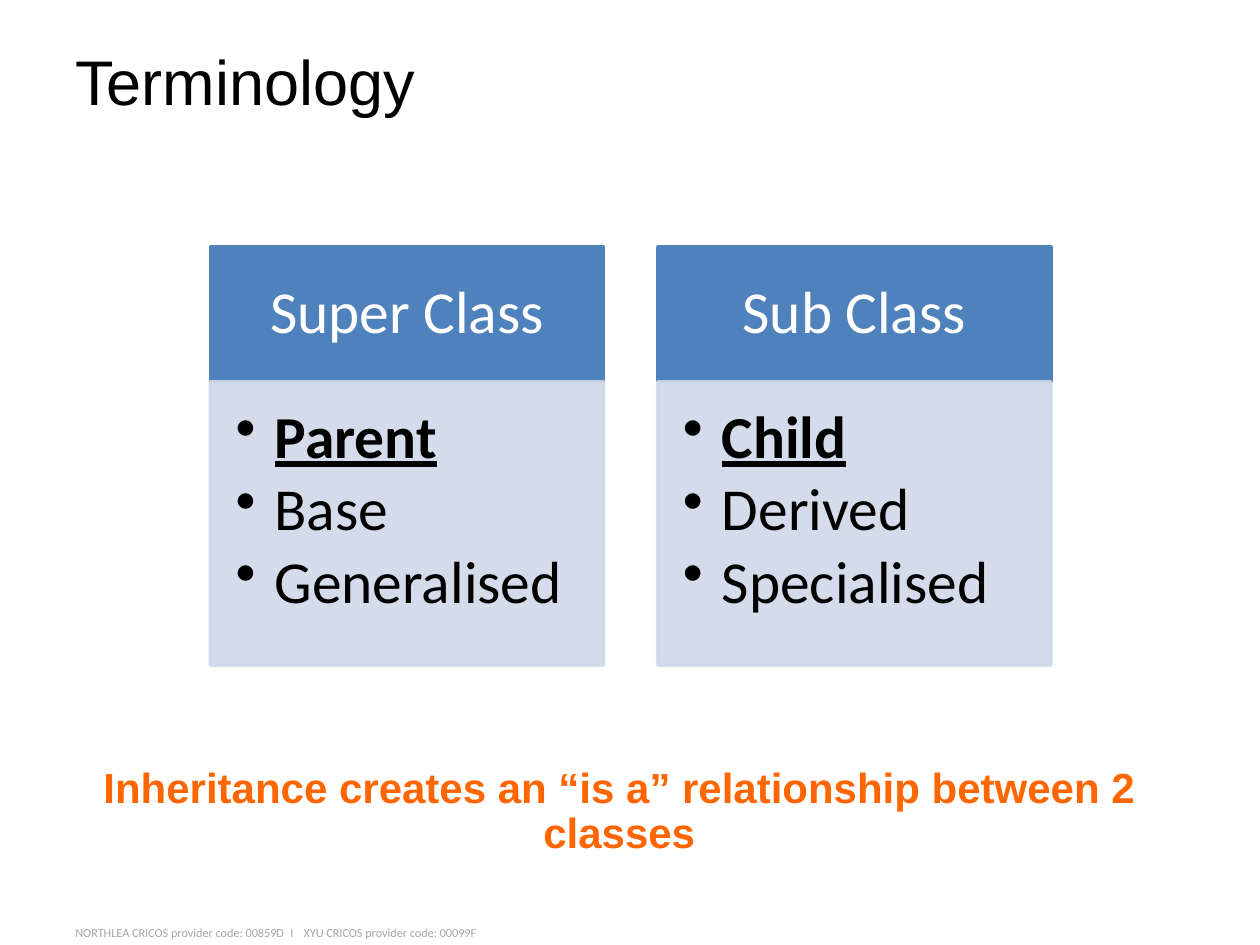
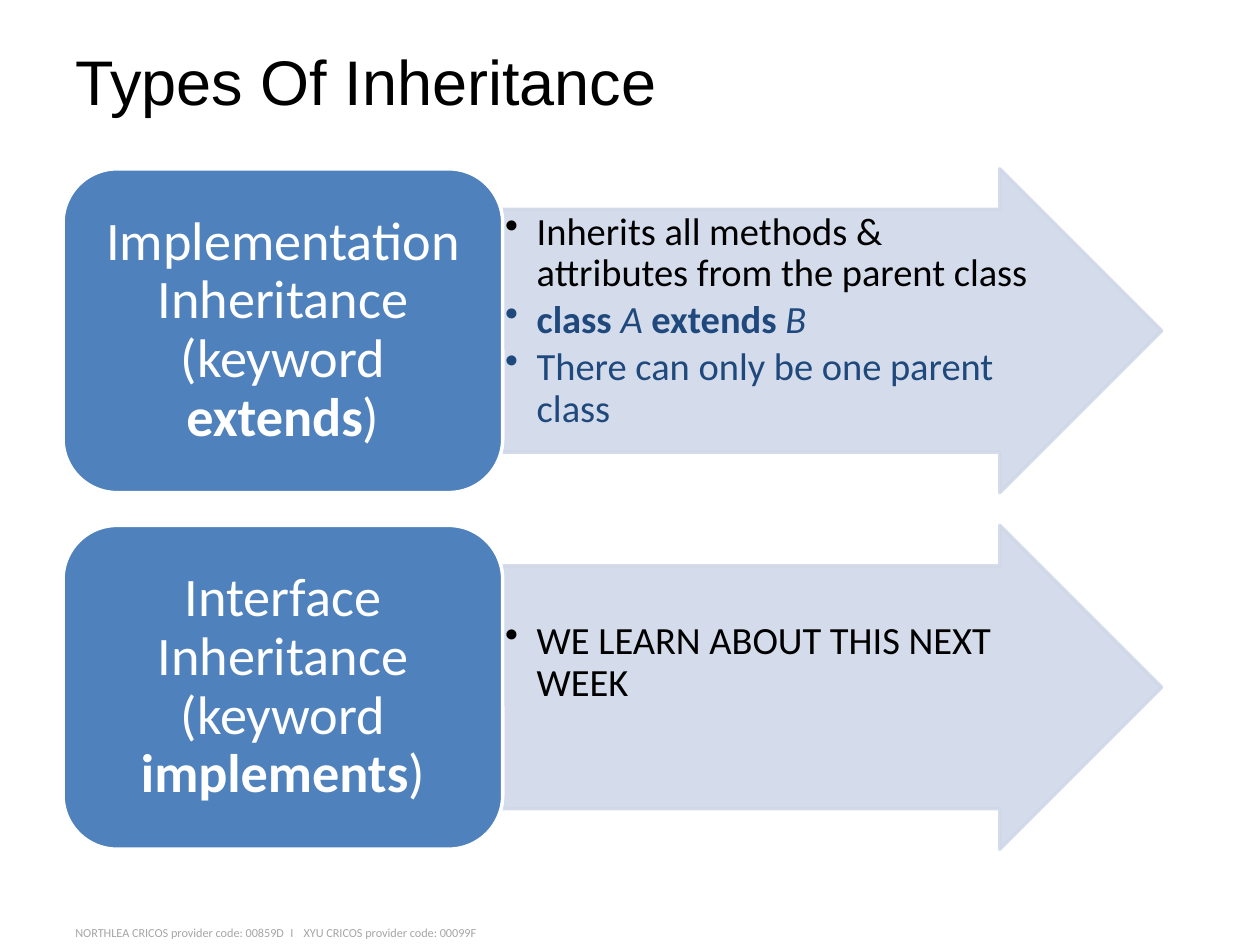
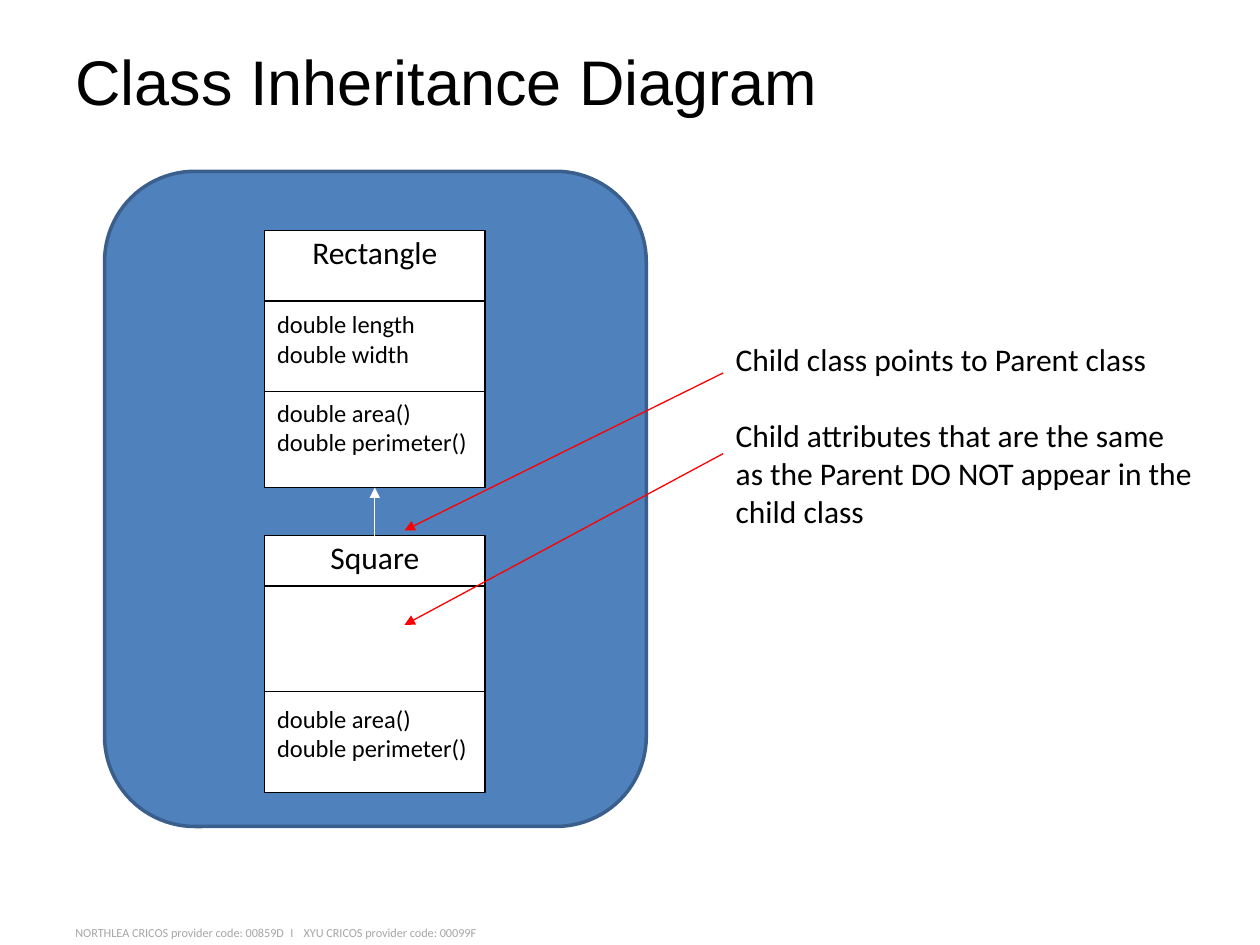
from lxml import etree
from pptx import Presentation, util as u
from pptx.dml.color import RGBColor
from pptx.enum import shapes, text
from pptx.oxml.ns import qn

rgb = RGBColor.from_string
BLUE, PALE, NAVY, EDGE = "4F81BD", "D0D8E8", "1F497D", "3A5F8C"
BLACK, WHITE, RED, ORANGE, GREY = "000000", "FFFFFF", "FF0000", "FF6600", "A6A6A6"
MIDDLE, TOP = text.MSO_ANCHOR.MIDDLE, text.MSO_ANCHOR.TOP
CENTER, LEFT = text.PP_ALIGN.CENTER, text.PP_ALIGN.LEFT
RECT = shapes.MSO_SHAPE.RECTANGLE
ROUNDED = shapes.MSO_SHAPE.ROUNDED_RECTANGLE
ARROW = shapes.MSO_SHAPE.RIGHT_ARROW


def block(slide, kind, box, paragraphs=(), size=18, color=BLACK, font="Calibri",
          fill=None, edge=None, weight=2, alpha=None, anchor=TOP, align=LEFT,
          insets=(0.1, 0.05, 0.1, 0.05), spacing=None, indent=None):
    place = [u.Inches(length) for length in box]
    if kind is None:
        item = slide.shapes.add_textbox(*place)
    else:
        item = slide.shapes.add_shape(kind, *place)
        item.shadow.inherit = False
        item.fill.solid()
        item.fill.fore_color.rgb = rgb(fill)
        item.line.color.rgb = rgb(edge)
        item.line.width = u.Pt(weight)
        if alpha:
            for tone in item._element.spPr.iter(qn("a:srgbClr")):
                etree.SubElement(tone, qn("a:alpha"), val=str(alpha * 1000))
    frame = item.text_frame
    left, top, right, bottom = [u.Inches(inset) for inset in insets]
    settings = dict(word_wrap=True, vertical_anchor=anchor, margin_left=left,
                    margin_top=top, margin_right=right, margin_bottom=bottom)
    for name, value in settings.items():
        setattr(frame, name, value)
    for number, (runs, layout) in enumerate(paragraphs):
        paragraph = frame.paragraphs[0] if number == 0 else frame.add_paragraph()
        for name, value in {"alignment": align, "line_spacing": spacing, **layout}.items():
            setattr(paragraph, name, value)
        if indent:
            paragraph.space_after = u.Pt(round(size * 0.14, 1))
            properties = paragraph._p.get_or_add_pPr()
            properties.set("marL", str(u.Inches(indent)))
            properties.set("indent", str(-u.Inches(indent)))
            etree.SubElement(properties, qn("a:buChar"), char="•")
        for words, style in runs:
            run = paragraph.add_run()
            run.text = words
            look = {"name": font, "size": u.Pt(size), **style}
            run.font.color.rgb = rgb(look.pop("color", color))
            for name, value in look.items():
                setattr(run.font, name, value)
    return item


def line(slide, start, end, color, arrow=False):
    stroke = slide.shapes.add_connector(
        shapes.MSO_CONNECTOR.STRAIGHT, *[u.Inches(length) for length in start + end])
    stroke.line.color.rgb = rgb(color)
    stroke.line.width = u.Pt(0.75)
    if arrow:
        etree.SubElement(stroke.line._ln, qn("a:tailEnd"), type="triangle")
    etree.SubElement(stroke._element.spPr, qn("a:effectLst"))
    return stroke


deck = Presentation()
deck.slide_width, deck.slide_height = u.Inches(10), u.Inches(7.5)

slides = []
for heading in ("Terminology", "Types Of Inheritance", "Class Inheritance Diagram"):
    slide = deck.slides.add_slide(deck.slide_layouts[6])
    block(slide, None, (0.5, 0.3, 9, 0.67), [([(heading, {})], {})],
          size=36, font="Arial", anchor=MIDDLE)
    footer = block(slide, None, (0.5, 7.29, 8.85, 0.21),
                   [([("NORTHLEA CRICOS provider code: 00859D", {}), (" I ", {}),
                      ("XYU CRICOS provider code: 00099F", {})], {})],
                   size=7, color=GREY)
    divider = footer.text_frame.paragraphs[0].runs[1]
    divider.font._element.set("spc", "210")
    slides.append(slide)
terminology, types_of, diagram = slides

terms = [("Super Class", "Parent", ["Base", "Generalised"]),
         ("Sub Class", "Child", ["Derived", "Specialised"])]
for column, (name, main_term, synonyms) in enumerate(terms):
    left = 1.67 + column * 3.55
    block(terminology, RECT, (left, 1.96, 3.12, 1.07), [([(name, {})], {})],
          size=34, color=WHITE, fill=BLUE, edge=BLUE, anchor=MIDDLE, align=CENTER,
          insets=(0.26, 0.15, 0.26, 0.15), spacing=0.9)
    entries = [([(main_term, {"bold": True, "underline": True})], {})]
    entries += [([(synonym, {})], {}) for synonym in synonyms]
    block(terminology, RECT, (left, 3.03, 3.12, 2.25), entries, size=34,
          fill=PALE, edge=PALE, alpha=90, insets=(0.2, 0.2, 0.26, 0.3),
          spacing=0.9, indent=0.31)
block(terminology, None, (0.33, 6.04, 9.17, 0.84),
      [([("Inheritance creates an “is a” relationship between 2 classes", {"bold": True})], {})],
      size=24, color=ORANGE, font="Arial", align=CENTER, spacing=0.9)

keyword, variable = {"color": NAVY, "bold": True}, {"color": NAVY, "italic": True}
kinds = [
    ("Implementation", "extends", 0.02, [
        [("Inherits all methods & attributes from the parent class", {})],
        [("class ", keyword), ("A ", variable), ("extends ", keyword), ("B", variable)],
        [("There can only be one parent class", {"color": NAVY})]]),
    ("Interface", "implements", 0.44, [[("WE LEARN ABOUT THIS NEXT WEEK", {})]]),
]
for row, (name, word, top_inset, facts) in enumerate(kinds):
    top = 1.34 + row * 2.83
    arrow = block(types_of, ARROW, (3.99, top, 5.23, 2.57), [(fact, {}) for fact in facts],
                  size=22, fill=PALE, edge=PALE, alpha=90,
                  insets=(0.02, top_inset, 0.02, 0.02), spacing=0.9, indent=0.25)
    arrow.adjustments[0] = 0.75
    block(types_of, ROUNDED, (0.5, top, 3.49, 2.57),
          [([(f"{name} Inheritance (keyword ", {}), (word, {"bold": True}), (")", {})], {})],
          size=31, color=WHITE, fill=BLUE, edge=WHITE, anchor=MIDDLE, align=CENTER,
          insets=(0.13, 0.06, 0.13, 0.06), spacing=0.9)

block(diagram, ROUNDED, (0.83, 1.36, 4.3, 5.2), fill=BLUE, edge=EDGE)
classes = [
    ("Rectangle", 1.83, (2.39, 3.11),
     [("double length", 22), ("double width", 0), ("double area()", 17), ("double perimeter()", 0)]),
    ("Square", 4.25, (4.65, 5.49), [("double area()", 73), ("double perimeter()", 0)]),
]
boxes = []
for name, top, dividers, members in classes:
    rows = [([(name, {})], {"alignment": CENTER})]
    rows += [([(member, {"size": u.Pt(14)})], {"space_before": u.Pt(gap)})
             for member, gap in members]
    boxes.append(block(diagram, RECT, (2.1, top, 1.75, 2.04), rows, fill=WHITE,
                       edge=BLACK, weight=0.75, insets=(0.1, 0.02, 0.1, 0)))
    for height in dividers:
        line(diagram, (2.1, height), (3.85, height), BLACK)
parent, child = boxes
inherits = line(diagram, (2.97, 4.25), (2.97, 3.87), WHITE, arrow=True)
inherits.begin_connect(child, 0)
inherits.end_connect(parent, 2)

block(diagram, None, (5.74, 2.65, 3.85, 1.92), [
    ([("Child class points to Parent class", {})], {}),
    ([("Child attributes that are the same as the Parent DO NOT appear in the child class", {})],
     {"space_before": u.Pt(22)})])
for start, end in ((2.96, 4.21), (3.6, 4.96)):
    line(diagram, (5.74, start), (3.21, end), RED, arrow=True)

deck.save("out.pptx")
